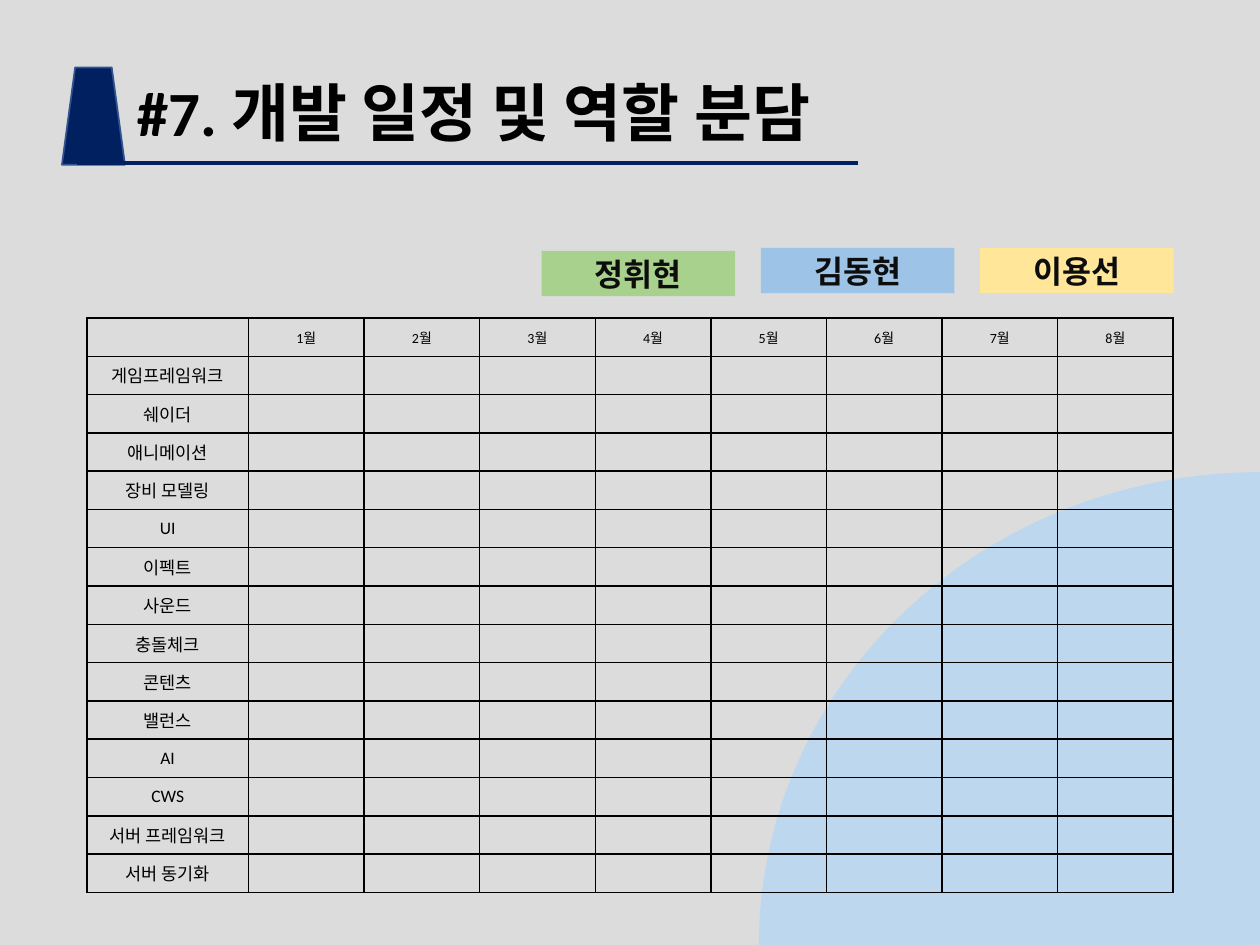
from lxml.etree import SubElement
from pptx import Presentation
from pptx.dml.color import RGBColor
from pptx.enum.shapes import MSO_CONNECTOR, MSO_SHAPE
from pptx.enum.text import MSO_ANCHOR, PP_ALIGN
from pptx.oxml.ns import qn
from pptx.util import Cm, Pt

TASKS = [
    "게임프레임워크", "쉐이더", "애니메이션", "장비 모델링", "UI", "이펙트", "사운드",
    "충돌체크", "콘텐츠", "밸런스", "AI", "CWS", "서버 프레임워크", "서버 동기화",
]
MONTHS = [f"{month}월" for month in range(1, 9)]
NAVY = "002060"


def color(code):
    return RGBColor.from_string(code)


class Deck:
    font = "Calibri"
    ink = "000000"

    def __init__(self, wide, high):
        self.file = Presentation()
        self.file.slide_width, self.file.slide_height = Cm(wide), Cm(high)
        self.slide = self.file.slides.add_slide(self.file.slide_layouts[6])

    def text(self, frame, words, size, bold=False, ink=ink, align=PP_ALIGN.CENTER):
        para = frame.paragraphs[0]
        para.alignment = align
        run = para.add_run()
        run.text = words
        run.font.name = self.font
        run.font.size = Pt(size)
        run.font.bold = bold
        run.font.color.rgb = color(ink)

    def shape(self, kind, box, fill, line=None, adjust=()):
        shape = self.slide.shapes.add_shape(kind, *map(Cm, box))
        shape.shadow.inherit = False
        shape.fill.solid()
        shape.fill.fore_color.rgb = color(fill)
        if line:
            shape.line.color.rgb = color(line)
            shape.line.width = Pt(1)
        else:
            shape.line.fill.background()
        for index, value in enumerate(adjust):
            shape.adjustments[index] = value
        return shape

    def label(self, box, fill, words):
        frame = self.shape(MSO_SHAPE.RECTANGLE, box, fill).text_frame
        frame.vertical_anchor = MSO_ANCHOR.MIDDLE
        self.text(frame, words, 18, True, "0D0D0D")

    def title(self, box, words):
        frame = self.slide.shapes.add_textbox(*map(Cm, box)).text_frame
        frame.word_wrap = True
        self.text(frame, words, 36, True, align=PP_ALIGN.LEFT)

    def line(self, ends, ink, width):
        line = self.slide.shapes.add_connector(MSO_CONNECTOR.STRAIGHT, *map(Cm, ends))
        line.line.color.rgb = color(ink)
        line.line.width = Pt(width)
        SubElement(line._element.spPr, qn("a:effectLst"))

    def border(self, cell):
        props = cell._tc.get_or_add_tcPr()
        for side in ("lnL", "lnR", "lnT", "lnB"):
            edge = SubElement(props, qn(f"a:{side}"), w=str(Pt(1)))
            fill = SubElement(edge, qn("a:solidFill"))
            SubElement(fill, qn("a:srgbClr"), val=self.ink)

    def cell(self, cell, words, size):
        self.border(cell)
        cell.fill.background()
        cell.vertical_anchor = MSO_ANCHOR.MIDDLE
        cell.margin_left = cell.margin_right = Cm(0.18)
        cell.margin_top = cell.margin_bottom = Cm(0.1)
        if words:
            self.text(cell.text_frame, words, size)
        else:
            para = cell.text_frame.paragraphs[0]._p
            SubElement(para, qn("a:endParaRPr"), sz=str(size * 100))

    def table(self, box, first, rows):
        count = len(rows[0])
        table = self.slide.shapes.add_table(len(rows), count, *map(Cm, box)).table
        table.first_row = table.horz_banding = False
        for index, col in enumerate(table.columns):
            col.width = Cm((box[2] - first) / (count - 1) if index else first)
        for index, (row, texts) in enumerate(zip(table.rows, rows)):
            row.height = Cm(box[3] / len(rows))
            for cell, words in zip(row.cells, texts):
                self.cell(cell, words, 10 if index else 8)


def main():
    deck = Deck(25.4, 19.05)
    deck.shape(MSO_SHAPE.RECTANGLE, (0, 0, 25.4, 19.05), "DCDCDC")
    deck.shape(MSO_SHAPE.PIE, (15.3, 9.52, 20.2, 19.05), "BDD7EE", adjust=(107.83, 162))
    rows = [["", *MONTHS]] + [[task] + [""] * len(MONTHS) for task in TASKS]
    deck.table((1.75, 6.41, 21.9, 11.58), 3.26, rows)
    deck.title((2.51, 1.35, 15.3, 1.8), "#7. 개발 일정 및 역할 분담")
    deck.shape(MSO_SHAPE.TRAPEZOID, (1.25, 1.36, 1.27, 1.96), NAVY, "325491", (0.21,))
    deck.line((1.55, 3.29, 17.29, 3.29), NAVY, 2)
    people = [("정휘현", "A9D18E", 5.06), ("김동현", "9DC3E6", 5), ("이용선", "FFE699", 5)]
    for index, (name, fill, top) in enumerate(people):
        deck.label((10.92 + 4.42 * index, top, 3.9, 0.91), fill, name)
    deck.file.save("out.pptx")


if __name__ == "__main__":
    main()
